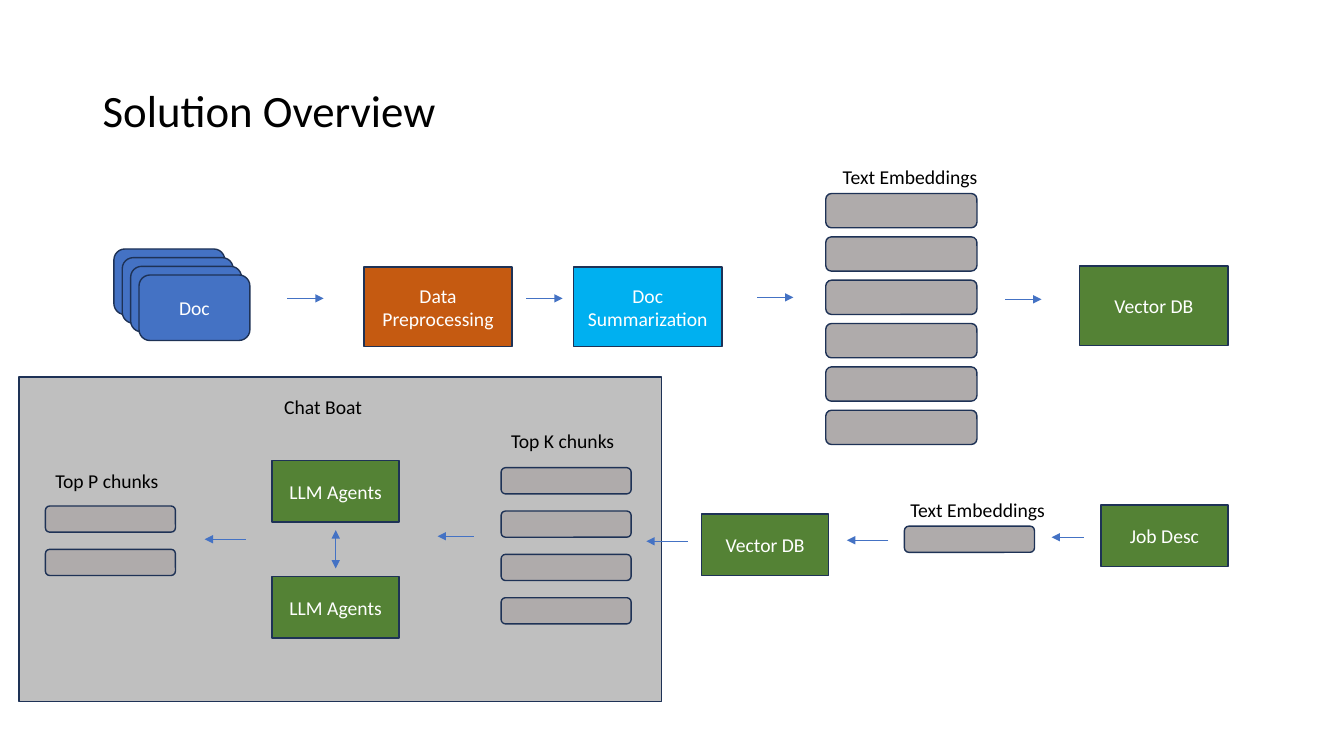
from lxml import etree
from pptx import Presentation
from pptx.dml.color import RGBColor
from pptx.enum.shapes import MSO_CONNECTOR, MSO_SHAPE
from pptx.enum.text import MSO_ANCHOR, MSO_AUTO_SIZE, PP_ALIGN
from pptx.oxml.ns import qn
from pptx.util import Inches, Pt

FONT = "Calibri"
COLORS = {
    "panel": "BFBFBF", "outline": "1E3256", "doc": "4472C4", "arrow": "4472C4",
    "summary": "00B0F0", "prep": "C55A11", "green": "548235",
    "chunk": "AFABAB", "black": "000000", "white": "FFFFFF",
}

TITLE = ("Solution Overview", (0.92, 0.4, 11.5, 1.45))
CHAT_PANEL = (0.19, 3.74, 6.37, 3.22)

# left, top, width, height, count, step right, step down, fill, text on the last one
STACKS = [
    (1.13, 2.47, 1.1, 0.65, 4, 0.083, 0.086, "doc", "Doc"),
    (8.19, 1.92, 1.5, 0.34, 6, 0, 0.43, "chunk", ""),
    (8.97, 5.22, 1.29, 0.26, 1, 0, 0, "chunk", ""),
    (4.97, 4.64, 1.29, 0.26, 4, 0, 0.43, "chunk", ""),
    (0.45, 5.02, 1.29, 0.26, 2, 0, 0.43, "chunk", ""),
]

STAGE_SIZE = (1.47, 0.79)
STAGES = [
    ("Data Preprocessing", 3.61, 2.65, "prep"),
    ("Doc Summarization", 5.69, 2.65, "summary"),
    ("Vector DB", 10.71, 2.64, "green"),
]

STEP_SIZE = (1.26, 0.61)
STEPS = [
    ("Job Desc", 10.92, 5.01, "green"),
    ("Vector DB", 6.96, 5.1, "green"),
    ("LLM Agents", 2.7, 4.57, "green"),
    ("LLM Agents", 2.7, 5.72, "green"),
]

# text, left, top, width, wrap
LABELS = [
    ("Text Embeddings", 8.26, 1.59, 1.55, False),
    ("Text Embeddings", 8.93, 4.89, 1.55, False),
    ("Top K chunks", 4.97, 4.21, 1.58, True),
    ("Top P chunks", 0.45, 4.6, 1.58, True),
    ("Chat Boat", 2.72, 3.87, 0.98, False),
]
LABEL_HEIGHT = 0.34

# start x, end x, y
FLOW_ARROWS = [
    (2.85, 3.21, 2.96), (5.22, 5.58, 2.96), (7.51, 7.87, 2.95), (9.97, 10.33, 2.97),
    (10.75, 10.43, 5.33), (8.81, 8.4, 5.36), (6.82, 6.41, 5.37),
    (4.7, 4.34, 5.32), (2.44, 2.03, 5.35),
]
AGENT_ARROW = (3.33, 5.26, 3.33, 5.64)


def rgb(name):
    return RGBColor.from_string(COLORS[name])


def set_text(tf, text, size, color):
    tf.text = text
    p = tf.paragraphs[0]
    p.font.name = FONT
    p.font.size = Pt(size)
    p.font.color.rgb = rgb(color)
    return p


def add_box(slide, kind, box, fill, text=""):
    sp = slide.shapes.add_shape(kind, *map(Inches, box))
    sp.shadow.inherit = False
    sp.fill.solid()
    sp.fill.fore_color.rgb = rgb(fill)
    sp.line.color.rgb = rgb("outline")
    sp.line.width = Pt(1)
    if text:
        tf = sp.text_frame
        tf.word_wrap = True
        tf.vertical_anchor = MSO_ANCHOR.MIDDLE
        set_text(tf, text, 14, "white").alignment = PP_ALIGN.CENTER


def add_stack(slide, left, top, width, height, count, dx, dy, fill, text):
    for i in range(count):
        box = (left + i * dx, top + i * dy, width, height)
        add_box(slide, MSO_SHAPE.ROUNDED_RECTANGLE, box, fill, text if i == count - 1 else "")


def add_label(slide, text, left, top, width, wrap):
    tf = slide.shapes.add_textbox(*map(Inches, (left, top, width, LABEL_HEIGHT))).text_frame
    tf.word_wrap = wrap
    tf.auto_size = MSO_AUTO_SIZE.SHAPE_TO_FIT_TEXT
    set_text(tf, text, 14, "black")


def add_arrow(slide, x1, y1, x2, y2, ends=("tailEnd",)):
    line = slide.shapes.add_connector(MSO_CONNECTOR.STRAIGHT, *map(Inches, (x1, y1, x2, y2)))
    line.line.color.rgb = rgb("arrow")
    line.line.width = Pt(0.5)
    ln = line.line._get_or_add_ln()
    for end in ends:
        etree.SubElement(ln, qn(f"a:{end}")).set("type", "triangle")
    etree.SubElement(line._element.spPr, qn("a:effectLst"))


def add_title(slide, text, box):
    tf = slide.shapes.add_textbox(*map(Inches, box)).text_frame
    tf.word_wrap = True
    tf.vertical_anchor = MSO_ANCHOR.MIDDLE
    set_text(tf, text, 32, "black").line_spacing = 0.9


def main():
    prs = Presentation()
    prs.slide_width, prs.slide_height = Inches(13.33), Inches(7.5)
    slide = prs.slides.add_slide(prs.slide_layouts[6])

    add_box(slide, MSO_SHAPE.RECTANGLE, CHAT_PANEL, "panel")
    add_title(slide, *TITLE)
    for stack in STACKS:
        add_stack(slide, *stack)
    for size, boxes in ((STAGE_SIZE, STAGES), (STEP_SIZE, STEPS)):
        for text, left, top, fill in boxes:
            add_box(slide, MSO_SHAPE.RECTANGLE, (left, top, *size), fill, text)
    for label in LABELS:
        add_label(slide, *label)
    for x1, x2, y in FLOW_ARROWS:
        add_arrow(slide, x1, y, x2, y)
    add_arrow(slide, *AGENT_ARROW, ends=("headEnd", "tailEnd"))

    prs.save("out.pptx")


if __name__ == "__main__":
    main()
